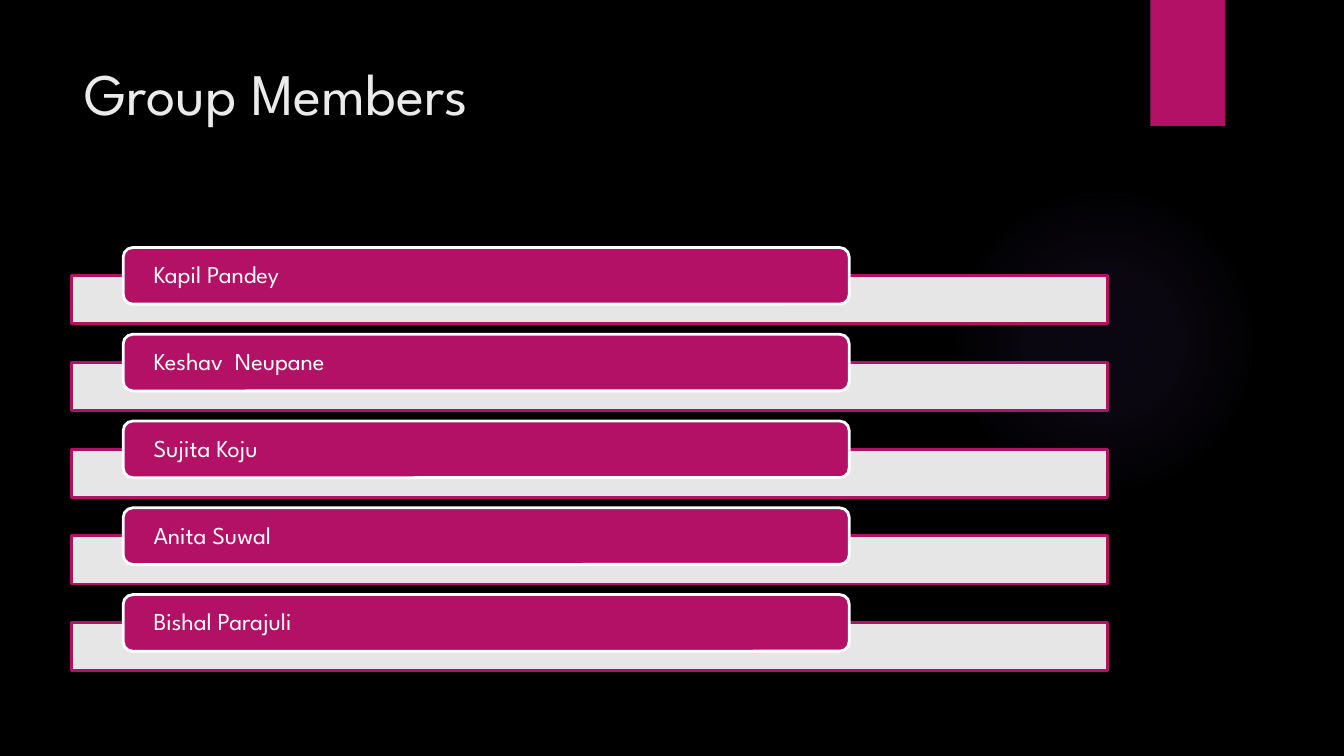
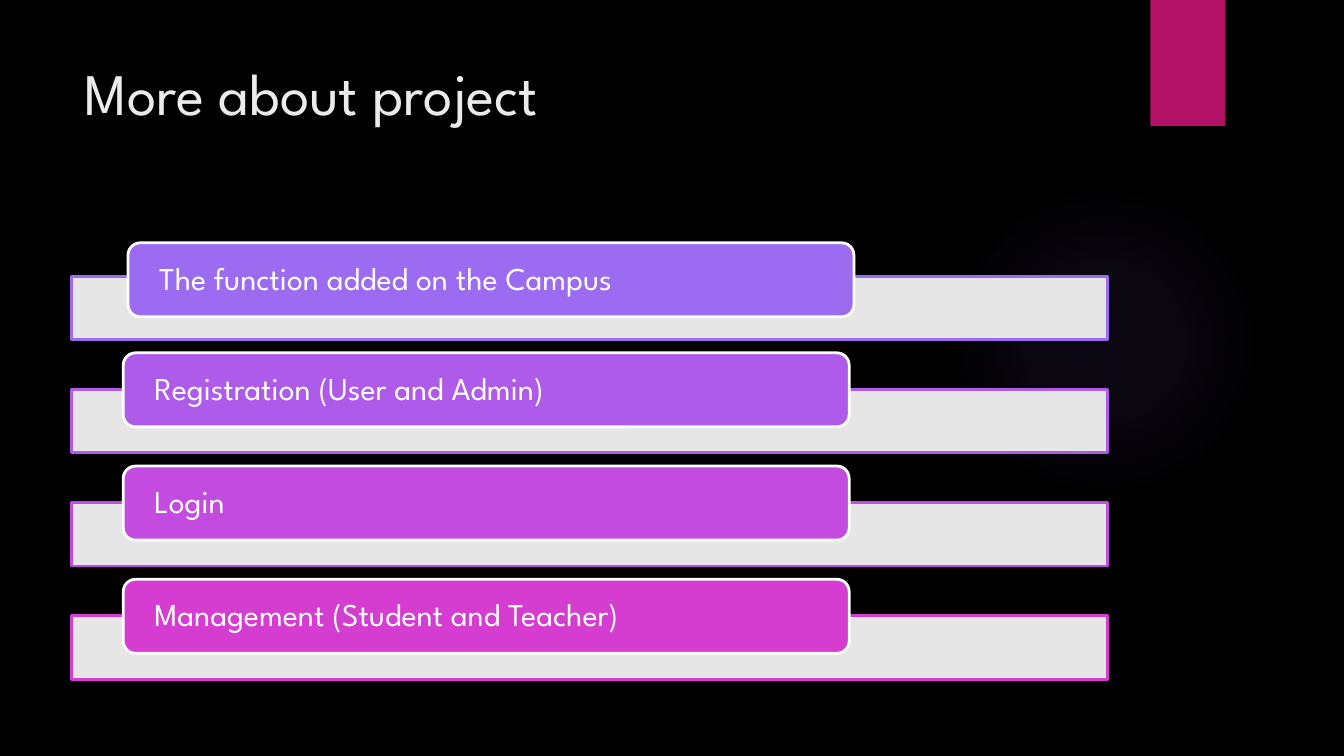
from dataclasses import dataclass

from lxml.etree import SubElement
from pptx import Presentation
from pptx.dml.color import RGBColor
from pptx.enum.shapes import MSO_SHAPE as Preset
from pptx.enum.text import MSO_ANCHOR as Anchor, PP_ALIGN as Align
from pptx.oxml import parse_xml
from pptx.oxml.ns import nsdecls, qn
from pptx.shapes.autoshape import Shape
from pptx.slide import Slide
from pptx.text.text import TextFrame
from pptx.util import Cm, Pt

FONT = "League Spartan"
COLORS = {
    "black": "000000",
    "white": "FFFFFF",
    "title": "EBEBEB",
    "magenta": "B31166",
    "violet": "9B6BF2",
    "purple": "AE5AEA",
    "orchid": "C34BE0",
    "pink": "D53DD0",
}
LEFT, WIDTH = 1.35, 19.58
LABEL_LEFT, LABEL_WIDTH = 2.33, 13.72
GLOW_STOPS = ((0, 7), (36, 6), (69, 0))


@dataclass(frozen=True)
class Entry:
    text: str
    color: str = "magenta"
    shift_x: float = 0
    shift_y: float = 0


@dataclass(frozen=True)
class EntryList:
    title: str
    title_height: float
    top: float
    pitch: float
    bar_height: float
    label_height: float
    lift: float
    size: float
    entries: tuple[Entry, ...]


MEMBERS = EntryList(
    "Group Members", 1.78, 5.21, 1.64, 0.91, 1.07, 0.53, 13,
    (
        Entry("Kapil Pandey"),
        Entry("Keshav  Neupane"),
        Entry("Sujita Koju"),
        Entry("Anita Suwal"),
        Entry("Bishal Parajuli"),
    ),
)
PROJECT = EntryList(
    "More about project", 2.92, 5.22, 2.14, 1.2, 1.4, 0.69, 17,
    (
        Entry("The function added on the Campus", "violet", 0.09, 0.06),
        Entry("Registration (User and Admin)", "purple"),
        Entry("Login", "orchid"),
        Entry("Management (Student and Teacher)", "pink"),
    ),
)


def rgb(color: str) -> RGBColor:
    return RGBColor.from_string(COLORS[color])


def write(frame: TextFrame, text: str, *, size: float, color: str,
          anchor: Anchor, spacing: float = 1, inset: float = 0.25,
          inset_y: float = 0.13) -> None:
    frame.word_wrap = True
    frame.vertical_anchor = anchor
    frame.margin_left = frame.margin_right = Cm(inset)
    frame.margin_top = frame.margin_bottom = Cm(inset_y)
    paragraph = frame.paragraphs[0]
    paragraph.alignment = Align.LEFT
    paragraph.line_spacing = spacing
    run = paragraph.add_run()
    run.text = text
    run.font.name = FONT
    run.font.size = Pt(size)
    run.font.color.rgb = rgb(color)


def draw_shape(slide: Slide, preset: Preset, left: float, top: float,
               width: float, height: float, *, fill: str,
               line: str | None = None, opacity: int = 100) -> Shape:
    shape = slide.shapes.add_shape(preset, Cm(left), Cm(top), Cm(width), Cm(height))
    shape.shadow.inherit = False
    shape.fill.solid()
    shape.fill.fore_color.rgb = rgb(fill)
    if opacity < 100:
        tint = shape.fill._xPr.find(qn("a:solidFill"))[0]
        SubElement(tint, qn("a:alpha"), val=str(opacity * 1000))
    if line:
        shape.line.color.rgb = rgb(line)
        shape.line.width = Pt(1.5)
    else:
        shape.line.fill.background()
    return shape


def draw_glow(slide: Slide) -> None:
    glow = draw_shape(slide, Preset.OVAL, 17.93, 3.51, 5.87, 5.87, fill="violet")
    stops = "".join(
        f'<a:gs pos="{position * 1000}"><a:srgbClr val="{COLORS["violet"]}">'
        f'<a:alpha val="{opacity * 1000}"/></a:srgbClr></a:gs>'
        for position, opacity in GLOW_STOPS
    )
    gradient = parse_xml(
        f'<a:gradFill {nsdecls("a")} rotWithShape="1"><a:gsLst>{stops}</a:gsLst>'
        '<a:path path="circle"><a:fillToRect l="50000" t="50000" r="50000" b="50000"/>'
        "</a:path></a:gradFill>"
    )
    properties = glow.fill._xPr
    properties.replace(properties.find(qn("a:solidFill")), gradient)


def draw_entry(slide: Slide, entry: Entry, top: float, content: EntryList) -> None:
    draw_shape(slide, Preset.RECTANGLE, LEFT, top, WIDTH, content.bar_height,
               fill="white", line=entry.color, opacity=90)
    label = draw_shape(slide, Preset.ROUNDED_RECTANGLE,
                       LABEL_LEFT + entry.shift_x,
                       top - content.lift + entry.shift_y,
                       LABEL_WIDTH, content.label_height,
                       fill=entry.color, line="white")
    write(label.text_frame, entry.text, size=content.size, color="white",
          anchor=Anchor.MIDDLE, spacing=0.9, inset=0.52, inset_y=0)


def build_slide(deck: Presentation, content: EntryList) -> None:
    slide = deck.slides.add_slide(deck.slide_layouts[5])
    slide.background.fill.solid()
    slide.background.fill.fore_color.rgb = rgb("black")
    draw_glow(slide)
    draw_shape(slide, Preset.RECTANGLE, 21.74, 0, 1.42, 2.38, fill="magenta")
    heading = slide.shapes.title
    heading.left, heading.top = Cm(LEFT), Cm(0.94)
    heading.width, heading.height = Cm(WIDTH), Cm(content.title_height)
    write(heading.text_frame, content.title, size=31.5, color="title", anchor=Anchor.TOP)
    for row, entry in enumerate(content.entries):
        draw_entry(slide, entry, content.top + row * content.pitch, content)


def main() -> None:
    deck = Presentation()
    deck.slide_width, deck.slide_height = Cm(25.4), Cm(14.29)
    for content in (MEMBERS, PROJECT):
        build_slide(deck, content)
    deck.save("out.pptx")


if __name__ == "__main__":
    main()
